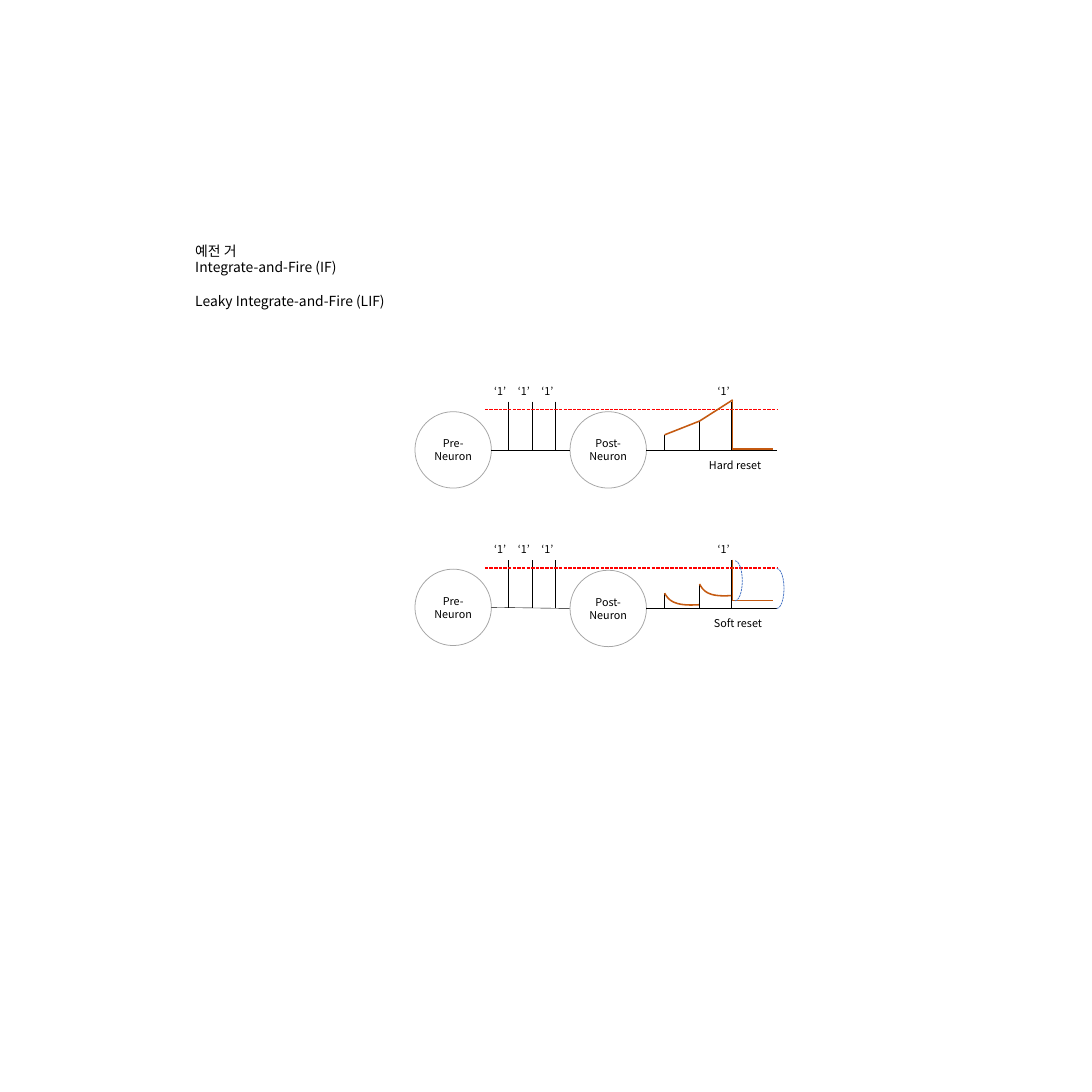
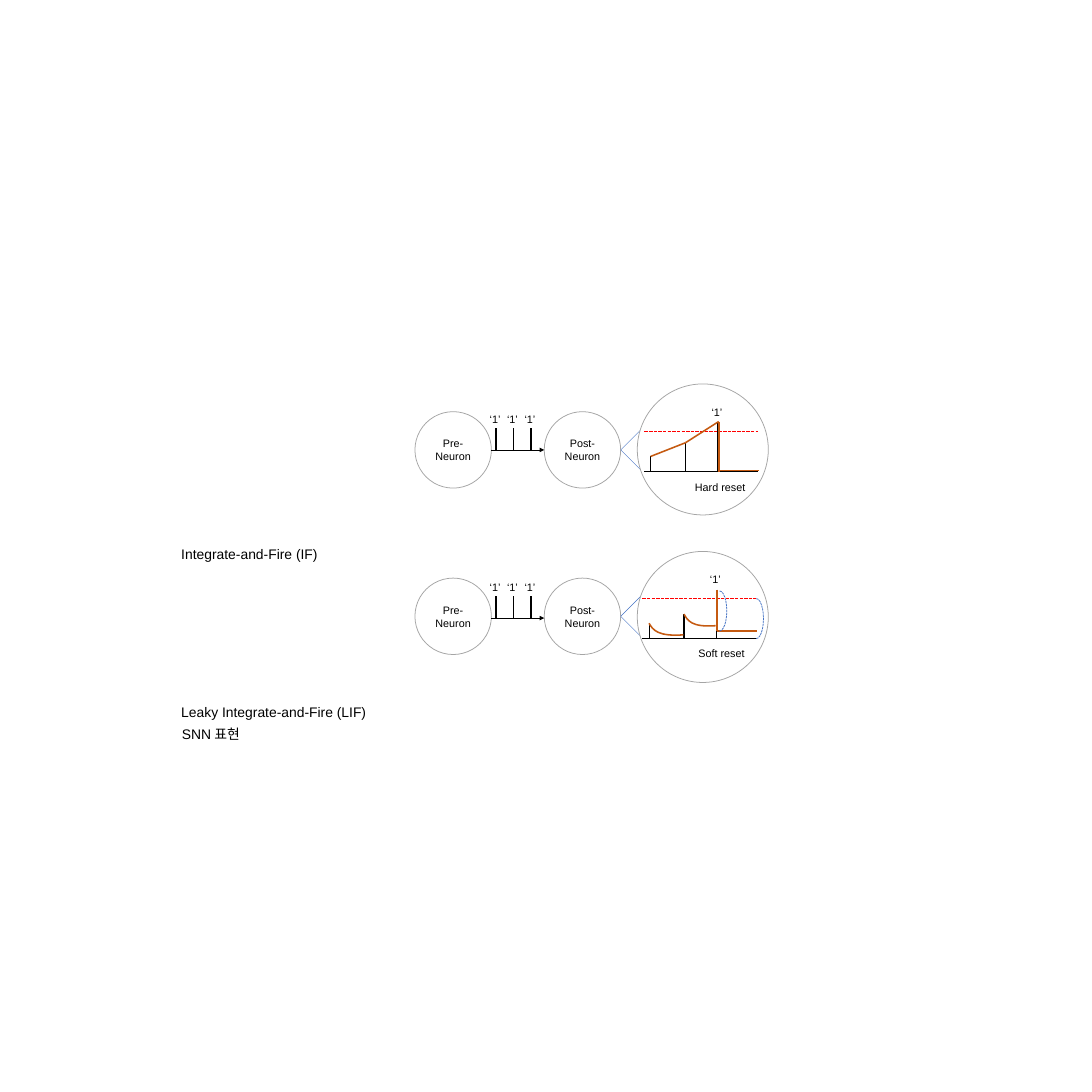
from lxml.etree import SubElement
from pptx import Presentation
from pptx.dml.color import RGBColor
from pptx.enum.dml import MSO_LINE
from pptx.enum.shapes import MSO_CONNECTOR, MSO_SHAPE
from pptx.enum.text import MSO_ANCHOR, MSO_AUTO_SIZE, PP_ALIGN
from pptx.oxml.ns import qn
from pptx.util import Cm, Pt

INK = {
    "black": "000000",
    "white": "FFFFFF",
    "gray": "A5A5A5",
    "red": "FF0000",
    "blue": "4472C4",
    "orange": "C55A11",
}
NOTO = "Noto Sans CJK KR"
ARIAL = "Arial"
SPIKE_X = (0, 1.6, 3.07)
RESET_X = 3.12
FLAT_END = 4.95
LIMIT = 1.85


def pen(line, color, width, dash=False):
    line.color.rgb = RGBColor.from_string(INK[color])
    line.width = Pt(width)
    if dash:
        line.dash_style = MSO_LINE.SQUARE_DOT


def add_run(para, text, size, font):
    run = para.add_run()
    run.text = text
    run.font.size = Pt(size)
    run.font.name = font
    run.font.color.rgb = RGBColor.from_string(INK["black"])
    east = SubElement(run.font._element, qn("a:ea"))
    east.set("typeface", NOTO)


def add_para(frame, index):
    return frame.paragraphs[0] if index == 0 else frame.add_paragraph()


def add_text(slide, left, top, wide, high, lines, size=14, gaps=()):
    box = slide.shapes.add_textbox(Cm(left), Cm(top), Cm(wide), Cm(high))
    frame = box.text_frame
    frame.word_wrap = False
    frame.auto_size = MSO_AUTO_SIZE.SHAPE_TO_FIT_TEXT
    for index, runs in enumerate(lines):
        para = add_para(frame, index)
        if index in gaps:
            para.space_before = Pt(22)
        for text, font in runs:
            add_run(para, text, size, font)


def add_line(slide, start, end, color="black", width=1.5, dash=False, arrow=False):
    line = slide.shapes.add_connector(
        MSO_CONNECTOR.STRAIGHT, Cm(start[0]), Cm(start[1]), Cm(end[0]), Cm(end[1])
    )
    pen(line.line, color, width, dash)
    if arrow:
        SubElement(line.line._get_or_add_ln(), qn("a:tailEnd")).set("type", "triangle")
    SubElement(line._element.spPr, qn("a:effectLst"))


def add_disc(slide, left, mid, size, words=(), font=ARIAL):
    disc = slide.shapes.add_shape(
        MSO_SHAPE.OVAL, Cm(left), Cm(mid - size / 2), Cm(size), Cm(size)
    )
    disc.shadow.inherit = False
    disc.fill.solid()
    disc.fill.fore_color.rgb = RGBColor.from_string(INK["white"])
    pen(disc.line, "gray", 1)
    disc.text_frame.vertical_anchor = MSO_ANCHOR.MIDDLE
    for index, word in enumerate(words):
        para = add_para(disc.text_frame, index)
        para.alignment = PP_ALIGN.CENTER
        add_run(para, word, 14, font)


def add_arc(slide, left, top):
    arc = slide.shapes.add_shape(MSO_SHAPE.ARC, Cm(left), Cm(top), Cm(0.66), Cm(1.83))
    arc.adjustments[0] = 162
    arc.adjustments[1] = 54.18
    arc.shadow.inherit = False
    arc.fill.background()
    pen(arc.line, "blue", 1, True)


def add_curve(slide, left, top, bends):
    draft = slide.shapes.build_freeform(Cm(left), Cm(top))
    draft.add_line_segments([(Cm(left + x), Cm(top + y)) for x, y in bends], False)
    curve = draft.convert_to_shape()
    trail = curve._element.find(".//" + qn("a:path"))
    bend = SubElement(trail, qn("a:cubicBezTo"))
    for step in trail.findall(qn("a:lnTo")):
        bend.append(step[0])
        trail.remove(step)
    curve.shadow.inherit = False
    curve.fill.background()
    pen(curve.line, "orange", 2)


def add_spikes(slide, left, base, step, high, text_left, rise, wide, font):
    for index in range(3):
        x = left + index * step
        add_line(slide, (x, base - high), (x, base))
        add_text(slide, text_left + index * step, base - rise, wide, 0.86,
                 [[("‘1’", font)]])


def add_plot(slide, left, base, start, end, limit_x, heights, tag_x, tag_wide, font):
    add_line(slide, (start, base), (end, base), width=0.5)
    for x, high in zip(SPIKE_X, heights):
        add_line(slide, (left + x, base - high), (left + x, base))
    add_line(slide, (limit_x, base - LIMIT), (end, base - LIMIT), "red", dash=True)
    add_text(slide, left + tag_x, base - 3.12, tag_wide, 0.86, [[("‘1’", font)]])


def add_trace(slide, left, base, points):
    spots = [(left + x, base - y) for x, y in points]
    for start, end in zip(spots, spots[1:]):
        add_line(slide, start, end, "orange", 2)


def add_hard(slide, left, base, start, end, limit_x, tag_x, tag_wide, font):
    heights = (0.69, 1.32, 2.21)
    add_plot(slide, left, base, start, end, limit_x, heights, tag_x, tag_wide, font)
    add_trace(slide, left, base, [(0, 0.69), (1.6, 1.32), (RESET_X, 2.29)])
    add_trace(slide, left, base, [(RESET_X, 2.29), (RESET_X, 0)])
    add_trace(slide, left, base, [(RESET_X, 0.05), (FLAT_END, 0.05)])
    add_text(slide, left + 1.78, base + 0.28, 3.12, 0.86, [[("Hard reset", font)]])


def add_soft(slide, left, base, start, end, limit_x, tag_x, tag_wide, font):
    heights = (0.7, 1.12, 2.21)
    add_plot(slide, left, base, start, end, limit_x, heights, tag_x, tag_wide, font)
    add_trace(slide, left, base, [(RESET_X, 2.24), (RESET_X, 0.36), (FLAT_END, 0.36)])
    add_arc(slide, end - 0.32, base - 1.83)
    add_arc(slide, left + 2.9, base - 2.18)
    add_curve(slide, left, base - 0.7, [(0.18, 0.3), (0.38, 0.61), (1.57, 0.53)])
    add_curve(slide, left + 1.6, base - 1.12, [(0.17, 0.3), (0.35, 0.61), (1.45, 0.53)])
    add_text(slide, left + 2.01, base + 0.26, 2.8, 0.86, [[("Soft reset", font)]])


def add_pair(slide, post_x, pre_y, post_y, font):
    add_disc(slide, 19, pre_y, 3.5, ("Pre-", "Neuron"), font)
    add_disc(slide, post_x, post_y, 3.5, ("Post-", "Neuron"), font)


def draw_old(slide):
    lines = [
        [("예전 거", NOTO)],
        [("Integrate-and-Fire (IF)", NOTO)],
        [("Leaky Integrate-and-Fire (LIF)", NOTO)],
    ]
    add_text(slide, 8.69, 10.97, 10.9, 3.33, lines, 18, (2,))
    for add_reset, pre_y, post_y in ((add_hard, 20.6, 20.6), (add_soft, 27.81, 27.86)):
        add_pair(slide, 26.1, pre_y, post_y, NOTO)
        add_line(slide, (22.5, pre_y), (26.1, post_y), width=0.5)
        add_spikes(slide, 23.29, post_y, 1.08, 2.21, 22.38, 3.12, 1.83, NOTO)
        add_reset(slide, 30.43, post_y, 29.6, 35.56, 22.2, 2.18, 1.83, NOTO)


def draw_new(slide):
    rows = (
        (add_hard, 20.6, 20.6, 20.58, 29.79, 21.59, 29.51, 34.7),
        (add_soft, 28.22, 28.3, 28.25, 29.72, 29.24, 29.41, 34.62),
    )
    for add_reset, mid, wire, hub, left, base, start, end in rows:
        add_pair(slide, 24.92, mid, mid, ARIAL)
        add_line(slide, (22.5, wire), (24.92, wire), width=0.5, arrow=True)
        add_spikes(slide, 22.71, wire, 0.8, 1, 22.17, 1.83, 1.02, ARIAL)
        for rise in (1, -1):
            add_line(slide, (28.42, mid), (29.42, mid + rise), "blue", 0.5)
        add_disc(slide, 29.18, hub, 6)
        add_reset(slide, left, base, start, end, start, 2.54, 1.02, ARIAL)
    add_text(slide, 8.05, 24.87, 6.81, 1.02, [[("Integrate-and-Fire (IF)", ARIAL)]], 18)
    add_text(slide, 8.05, 32.11, 9.07, 1.02,
             [[("Leaky Integrate-and-Fire (LIF)", ARIAL)]], 18)
    add_text(slide, 8.08, 33.12, 3.35, 1.02, [[("SNN", ARIAL), (" 표현", NOTO)]], 18)


def main():
    deck = Presentation()
    deck.slide_width = deck.slide_height = Cm(50)
    for draw in (draw_old, draw_new):
        draw(deck.slides.add_slide(deck.slide_layouts[6]))
    deck.save("out.pptx")


if __name__ == "__main__":
    main()
